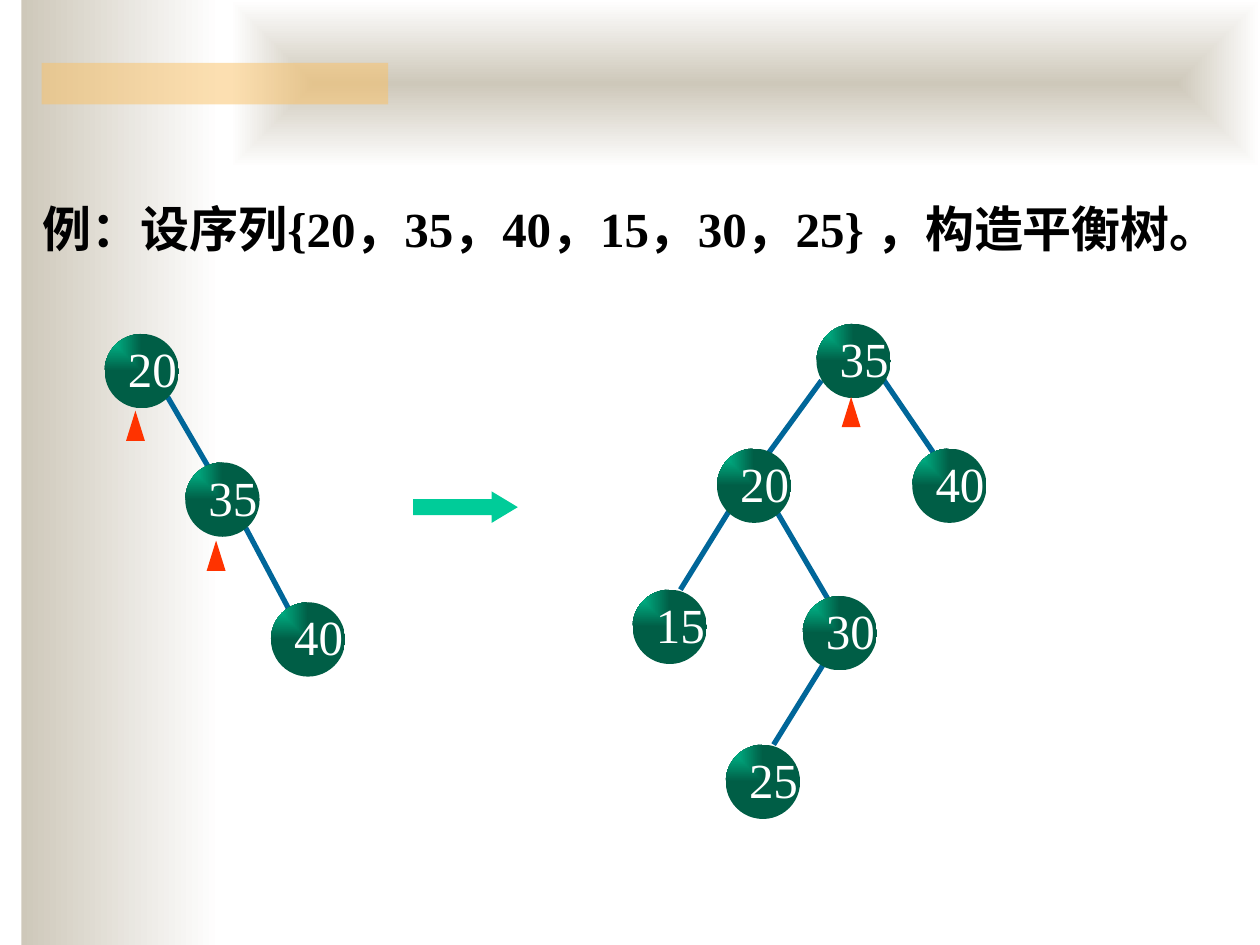
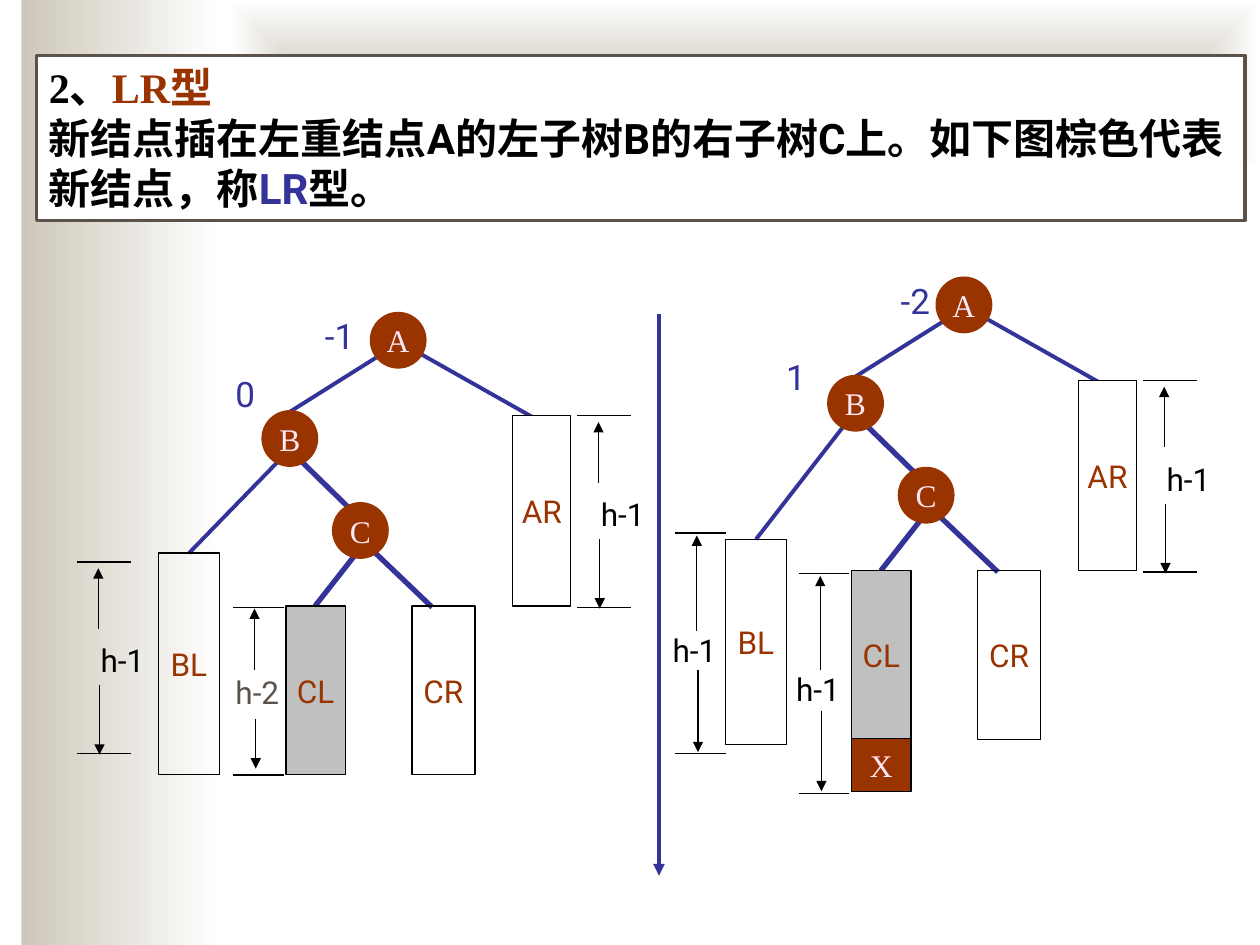
from lxml import etree
from pptx import Presentation
from pptx.dml.color import RGBColor
from pptx.enum.shapes import MSO_CONNECTOR, MSO_SHAPE
from pptx.enum.text import MSO_ANCHOR, PP_ALIGN
from pptx.oxml.ns import qn
from pptx.util import Inches, Pt

WHITE = RGBColor(0xFF, 0xFF, 0xFF)
BLACK = RGBColor(0, 0, 0)
SAND = RGBColor(0xCE, 0xC8, 0xBA)
ORANGE = RGBColor(0xFA, 0xC1, 0x64)
TAUPE = RGBColor(0x5B, 0x52, 0x49)
GREEN = RGBColor(0x00, 0xCC, 0x99)
DARK_GREEN = RGBColor(0x00, 0x5E, 0x46)
TEAL = RGBColor(0x00, 0x66, 0x99)
RED = RGBColor(0xFF, 0x33, 0x00)
BROWN = RGBColor(0x99, 0x33, 0x00)
INDIGO = RGBColor(0x33, 0x33, 0x99)
PINK = RGBColor(0xFE, 0xE8, 0xF7)
GRAY = RGBColor(0xC0, 0xC0, 0xC0)

SERIF, SANS, CJK = "Times New Roman", "Roboto", "Noto Sans CJK SC"
BALL = 0.59   # diameter of a number node
NODE = 0.42   # diameter of a letter node


# Text
def style(r, size, font, color, bold=False):
    r.font.size = Pt(size)
    r.font.name = font
    r.font.bold = bold
    r.font.color.rgb = color
    etree.SubElement(r._r.get_or_add_rPr(), qn("a:ea")).set("typeface", CJK)


def add_run(p, text, size, font, color, bold=False):
    r = p.add_run()
    r.text = text
    style(r, size, font, color, bold)


def textbox(s, x, y, w, h):
    box = s.shapes.add_textbox(Inches(x), Inches(y), Inches(w), Inches(h))
    box.text_frame.word_wrap = True
    return box.text_frame.paragraphs[0]


def shape_text(sp, text, size, font, color, align):
    tf = sp.text_frame
    tf.word_wrap = False
    tf.vertical_anchor = MSO_ANCHOR.MIDDLE
    tf.text = text
    p = tf.paragraphs[0]
    p.alignment = align
    style(p.runs[0], size, font, color)


# Shapes and lines
def shape(s, kind, x, y, w, h, fill=None, line=None, width=0.75):
    sp = s.shapes.add_shape(kind, Inches(x), Inches(y), Inches(w), Inches(h))
    sp.shadow.inherit = False
    if fill is None:
        sp.fill.background()
    else:
        sp.fill.solid()
        sp.fill.fore_color.rgb = fill
    if line is None:
        sp.line.fill.background()
    else:
        sp.line.color.rgb = line
        sp.line.width = Pt(width)
    return sp


def gradient(sp, start, end, path=None, focus=None):
    """Linear left to right, or along a path from a focus (l, t, r, b in percent)."""
    sp.fill.gradient()
    sp.fill.gradient_angle = 0
    for stop, color in zip(sp.fill.gradient_stops, (start, end)):
        stop.color.rgb = color
    if path:
        grad = sp._element.spPr.find(qn("a:gradFill"))
        grad.remove(grad.find(qn("a:lin")))
        node = etree.SubElement(grad, qn("a:path"))
        node.set("path", path)
        rect = etree.SubElement(node, qn("a:fillToRect"))
        for side, value in zip("ltrb", focus):
            rect.set(side, str(value * 1000))


def line(s, x1, y1, x2, y2, color=BLACK, width=0.75, arrow=False):
    c = s.shapes.add_connector(MSO_CONNECTOR.STRAIGHT, Inches(x1), Inches(y1),
                               Inches(x2), Inches(y2))
    c.line.color.rgb = color
    c.line.width = Pt(width)
    if arrow:
        etree.SubElement(c.line._get_or_add_ln(), qn("a:tailEnd")).set("type", "triangle")
    etree.SubElement(c._element.spPr, qn("a:effectLst"))


def background(s):
    side = shape(s, MSO_SHAPE.RECTANGLE, 0.17, 0, 1.58, 7.5)
    gradient(side, SAND, WHITE)
    top = shape(s, MSO_SHAPE.RECTANGLE, 1.83, 0, 8.17, 1.33)
    gradient(top, SAND, WHITE, "shape", (50, 50, 50, 50))


# Number trees
def ball(s, text, x, y):
    sp = shape(s, MSO_SHAPE.OVAL, x, y, BALL, BALL)
    gradient(sp, GREEN, DARK_GREEN, "rect", (0, 0, 100, 100))
    sp.text_frame.margin_top = 0
    shape_text(sp, text, 28, SERIF, WHITE, PP_ALIGN.LEFT)


def number_tree(s, edges, balls, markers):
    for edge in edges:
        line(s, *edge, TEAL, 3)
    for text, x, y in balls:
        ball(s, text, x, y)
    for x, y in markers:
        shape(s, MSO_SHAPE.ISOSCELES_TRIANGLE, x, y, 0.15, 0.24, RED)


# Subtree diagrams
def node(s, text, x, y):
    sp = shape(s, MSO_SHAPE.OVAL, x, y, NODE, NODE, BROWN, BROWN, 2.25)
    shape_text(sp, text, 18, SERIF, PINK, PP_ALIGN.CENTER)


def subtree(s, text, x, y, w, h, fill=None, font=SANS, color=BROWN):
    sp = shape(s, MSO_SHAPE.RECTANGLE, x, y, w, h, fill, BLACK)
    shape_text(sp, text, 18, font, color, PP_ALIGN.CENTER)


def balance(s, text, x, y):
    add_run(textbox(s, x, y, 0.55, 0.43), text, 20, SANS, INDIGO)


def height_mark(s, text, label, ticks, up, down, color=BLACK):
    """Label (x, y), ticks (left, width, top, bottom), arrows (from y, to y)."""
    left, width, top, bottom = ticks
    for y in (top, bottom):
        line(s, left, y, left + width, y)
    line(s, left + 0.17, up[0], left + 0.17, up[1], arrow=True)
    line(s, left + 0.18, down[0], left + 0.18, down[1], arrow=True)
    add_run(textbox(s, *label, 0.71, 0.4), text, 18, SANS, color)


def wide_height_mark(s, x, y):
    height_mark(s, "h-1", (x + 0.09, y + 0.58), (x, 0.43, y, y + 1.52),
                (y + 0.53, y + 0.05), (y + 0.98, y + 1.53))


def abc_tree(s, dx, dy, bl_x, bl_y, bl_h):
    for x1, y1, x2, y2, width in [
            (3.03, 2.81, 2.25, 3.3, 2.25), (3.34, 2.81, 4.35, 3.38, 2.25),
            (2.38, 3.65, 2.82, 4.08, 3), (2.83, 4.39, 2.5, 4.81, 3),
            (2.98, 4.39, 3.43, 4.82, 3)]:
        line(s, x1 + dx, y1 + dy, x2 + dx, y2 + dy, INDIGO, width)
    line(s, 2.2 + dx, 3.67 + dy, bl_x + 0.24, bl_y, INDIGO, 2.25)
    for text, x, y in [("A", 2.95, 2.49), ("B", 2.09, 3.27), ("C", 2.65, 4)]:
        node(s, text, x + dx, y + dy)
    subtree(s, "BL", bl_x, bl_y, 0.48, bl_h)
    for text, x, y, w, h, fill in [("CL", 2.27, 4.81, 0.47, 1.34, GRAY),
                                   ("CR", 3.27, 4.81, 0.5, 1.34, None),
                                   ("AR", 4.07, 3.3, 0.46, 1.51, WHITE)]:
        subtree(s, text, x + dx, y + dy, w, h, fill)
    wide_height_mark(s, 4.58 + dx, 3.3 + dy)


# Slides
def example_slide(s):
    background(s)
    bar = shape(s, MSO_SHAPE.RECTANGLE, 0.33, 0.5, 2.75, 0.33, ORANGE)
    color = bar._element.spPr.find(qn("a:solidFill"))[0]
    etree.SubElement(color, qn("a:alpha")).set("val", "50000")

    # Task
    p = textbox(s, 0.24, 1.53, 9.68, 0.57)
    add_run(p, "例：设序列", 28, CJK, BLACK, True)
    for number in ("{20", "35", "40", "15", "30"):
        add_run(p, number, 28, SERIF, BLACK, True)
        add_run(p, "，", 28, CJK, BLACK, True)
    add_run(p, "25} ，构造平衡树。", 28, SERIF, BLACK, True)

    # Before and after the rotation
    number_tree(s,
                [(1.33, 3.15, 1.65, 3.7), (1.95, 4.19, 2.29, 4.83)],
                [("20", 0.83, 2.65), ("35", 1.47, 3.67), ("40", 2.15, 4.78)],
                [(1, 3.26), (1.64, 4.29)])
    arrow = shape(s, MSO_SHAPE.RIGHT_ARROW, 3.28, 3.9, 0.83, 0.25, GREEN)
    arrow.adjustments[1] = 0.83
    number_tree(s,
                [(7.01, 3.01, 7.42, 3.61), (6.52, 3.02, 6.09, 3.61),
                 (5.79, 4.05, 5.4, 4.68), (6.17, 4.07, 6.58, 4.77),
                 (6.53, 5.28, 6.14, 5.91)],
                [("35", 6.48, 2.57), ("20", 5.69, 3.56), ("40", 7.24, 3.56),
                 ("15", 5.02, 4.68), ("30", 6.37, 4.73), ("25", 5.76, 5.91)],
                [(6.68, 3.15)])


def lr_slide(s):
    background(s)

    # Heading box
    sp = shape(s, MSO_SHAPE.RECTANGLE, 0.29, 0.44, 9.59, 1.31, WHITE, TAUPE, 2)
    tf = sp.text_frame
    tf.word_wrap = True
    tf.vertical_anchor = MSO_ANCHOR.TOP
    p = tf.paragraphs[0]
    p.alignment = PP_ALIGN.LEFT
    add_run(p, "2、", 24, SERIF, BLACK, True)
    add_run(p, "LR", 24, SERIF, BROWN, True)
    add_run(p, "型", 24, SANS, BROWN, True)
    p.add_line_break()
    add_run(p, "新结点插在左重结点A的左子树B的右子树C上。如下图棕色代表新结点，称",
            24, SANS, BLACK, True)
    add_run(p, "LR", 24, SANS, INDIGO, True)
    add_run(p, "型。", 24, SANS, BLACK, True)

    line(s, 5.23, 2.49, 5.23, 6.95, INDIGO, 2.25, arrow=True)

    # Before the insertion
    abc_tree(s, 0, 0, 1.26, 4.39, 1.76)
    balance(s, "-1", 2.48, 2.45)
    balance(s, "0", 1.77, 2.91)
    wide_height_mark(s, 0.61, 4.46)
    height_mark(s, "h-2", (1.77, 5.29), (1.85, 0.4, 4.82, 6.15),
                (5.32, 4.83), (5.71, 6.1), TAUPE)

    # After the insertion
    abc_tree(s, 4.49, -0.28, 5.76, 4.28, 1.63)
    subtree(s, "X", 6.76, 5.86, 0.47, 0.42, BROWN, SERIF, PINK)
    balance(s, "-2", 7.05, 2.17)
    balance(s, "1", 6.14, 2.77)
    height_mark(s, "h-1", (5.24, 4.96), (5.36, 0.4, 4.23, 5.98),
                (5.01, 4.25), (5.32, 5.97))
    height_mark(s, "h-1", (6.22, 5.27), (6.34, 0.4, 4.55, 6.3),
                (5.32, 4.57), (5.64, 6.28))


def main():
    prs = Presentation()
    prs.slide_width, prs.slide_height = Inches(10), Inches(7.5)
    for build in (example_slide, lr_slide):
        build(prs.slides.add_slide(prs.slide_layouts[6]))
    prs.save("out.pptx")


main()
